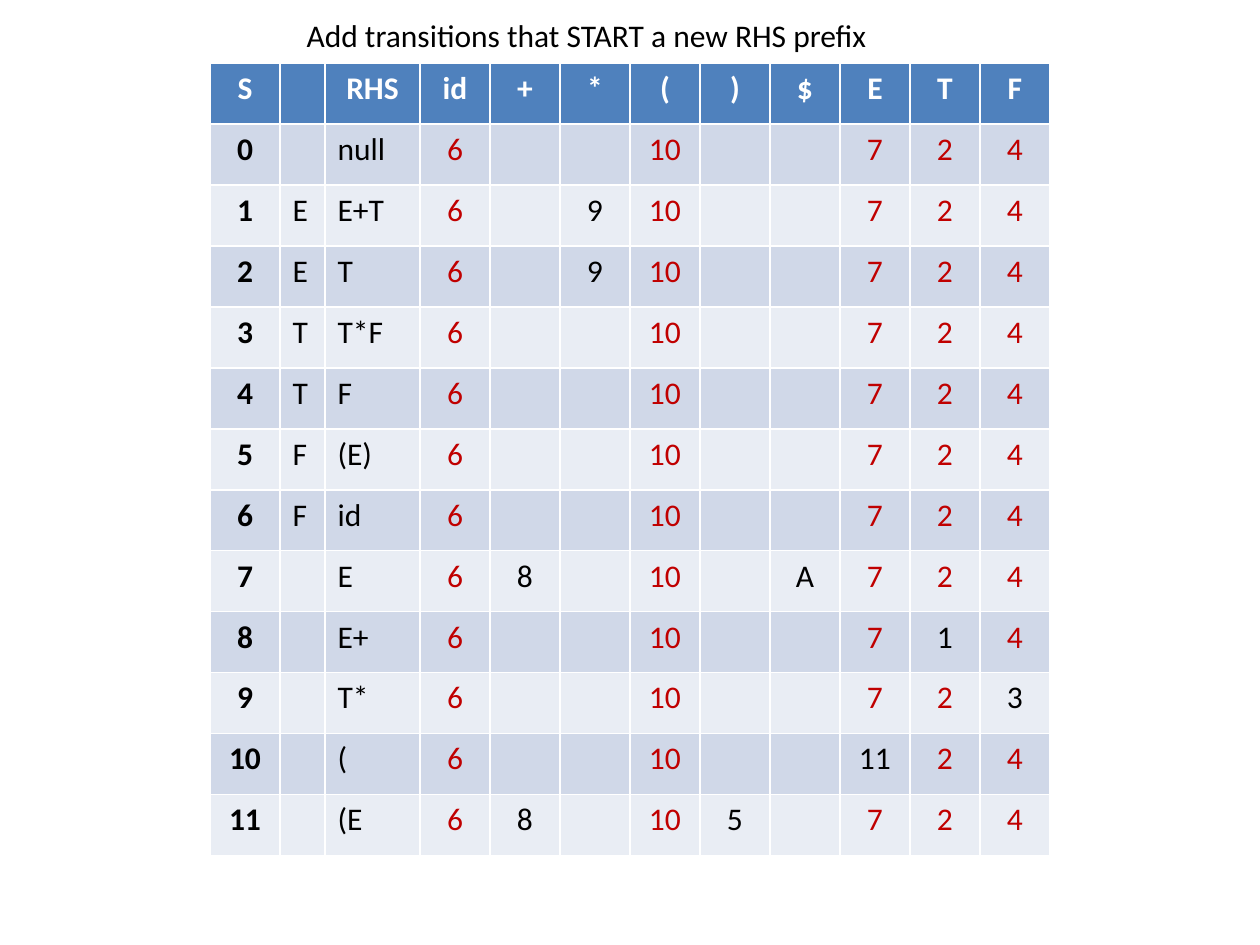
import pptx
import pptx.util
import pptx.dml.color
import pptx.enum.text
from dataclasses import dataclass


@dataclass(frozen=True)
class Theme:
    font: str = "Calibri"
    size: int = 18
    header: str = "4F81BD"
    header_text: str = "FFFFFF"
    bands: tuple = ("D0D8E8", "E9EDF4")
    text: str = "000000"
    start: str = "C00000"


theme = Theme()
PX = 914400 // 126
ALIGN = pptx.enum.text.PP_ALIGN


def px(value):
    return pptx.util.Emu(value * PX)


def style(paragraph, color, bold, align):
    paragraph.alignment = align
    for run in paragraph.runs:
        run.font.name = theme.font
        run.font.size = pptx.util.Pt(theme.size)
        run.font.bold = bold
        run.font.color.rgb = pptx.dml.color.RGBColor.from_string(color)


deck = pptx.Presentation()
deck.slide_width, deck.slide_height = px(1260), px(945)
slide = deck.slides.add_slide(deck.slide_layouts[5])

# Heading
heading = slide.shapes.title
heading.left, heading.top, heading.width, heading.height = px(294), px(10), px(614), px(51)
heading.text_frame.text = "Add transitions that START a new RHS prefix"
heading.text_frame.word_wrap = False
heading.text_frame.auto_size = pptx.enum.text.MSO_AUTO_SIZE.SHAPE_TO_FIT_TEXT
heading.text_frame.vertical_anchor = pptx.enum.text.MSO_ANCHOR.TOP
style(heading.text_frame.paragraphs[0], theme.text, False, ALIGN.LEFT)

# Parser states: left side, right-hand-side prefix, transitions that continue it
columns = ["S", "", "RHS", "id", "+", "*", "(", ")", "$", "E", "T", "F"]
states = [
    ("", "null", {}),
    ("E", "E+T", {"*": "9"}),
    ("E", "T", {"*": "9"}),
    ("T", "T*F", {}),
    ("T", "F", {}),
    ("F", "(E)", {}),
    ("F", "id", {}),
    ("", "E", {"+": "8", "$": "A"}),
    ("", "E+", {"T": "1"}),
    ("", "T*", {"F": "3"}),
    ("", "(", {"E": "11"}),
    ("", "(E", {"+": "8", ")": "5"}),
]
# Transitions that start a new prefix, the same in every state
starts = {"id": "6", "(": "10", "E": "7", "T": "2", "F": "4"}

rows = [columns]
for number, (left_side, prefix, continues) in enumerate(states):
    moves = {**starts, **continues}
    rows.append([str(number), left_side, prefix] + [moves.get(symbol, "") for symbol in columns[3:]])

# Transition table
widths = [70, 45, 95] + [70] * 9
row_height = 61
transitions = slide.shapes.add_table(
    len(rows), len(columns), px(210), px(63), px(sum(widths)), px(row_height * len(rows))
).table
for column, width in zip(transitions.columns, widths):
    column.width = px(width)

for r, row in enumerate(rows):
    transitions.rows[r].height = px(row_height)
    for c, entry in enumerate(row):
        cell = transitions.cell(r, c)
        band = theme.header if r == 0 else theme.bands[(r - 1) % 2]
        cell.fill.solid()
        cell.fill.fore_color.rgb = pptx.dml.color.RGBColor.from_string(band)
        cell.text_frame.text = entry
        if r == 0:
            color = theme.header_text
        elif c > 2 and columns[c] not in states[r - 1][2]:
            color = theme.start
        else:
            color = theme.text
        align = ALIGN.LEFT if r > 0 and c in (1, 2) else ALIGN.CENTER
        style(cell.text_frame.paragraphs[0], color, r == 0 or c == 0, align)

deck.save("out.pptx")
